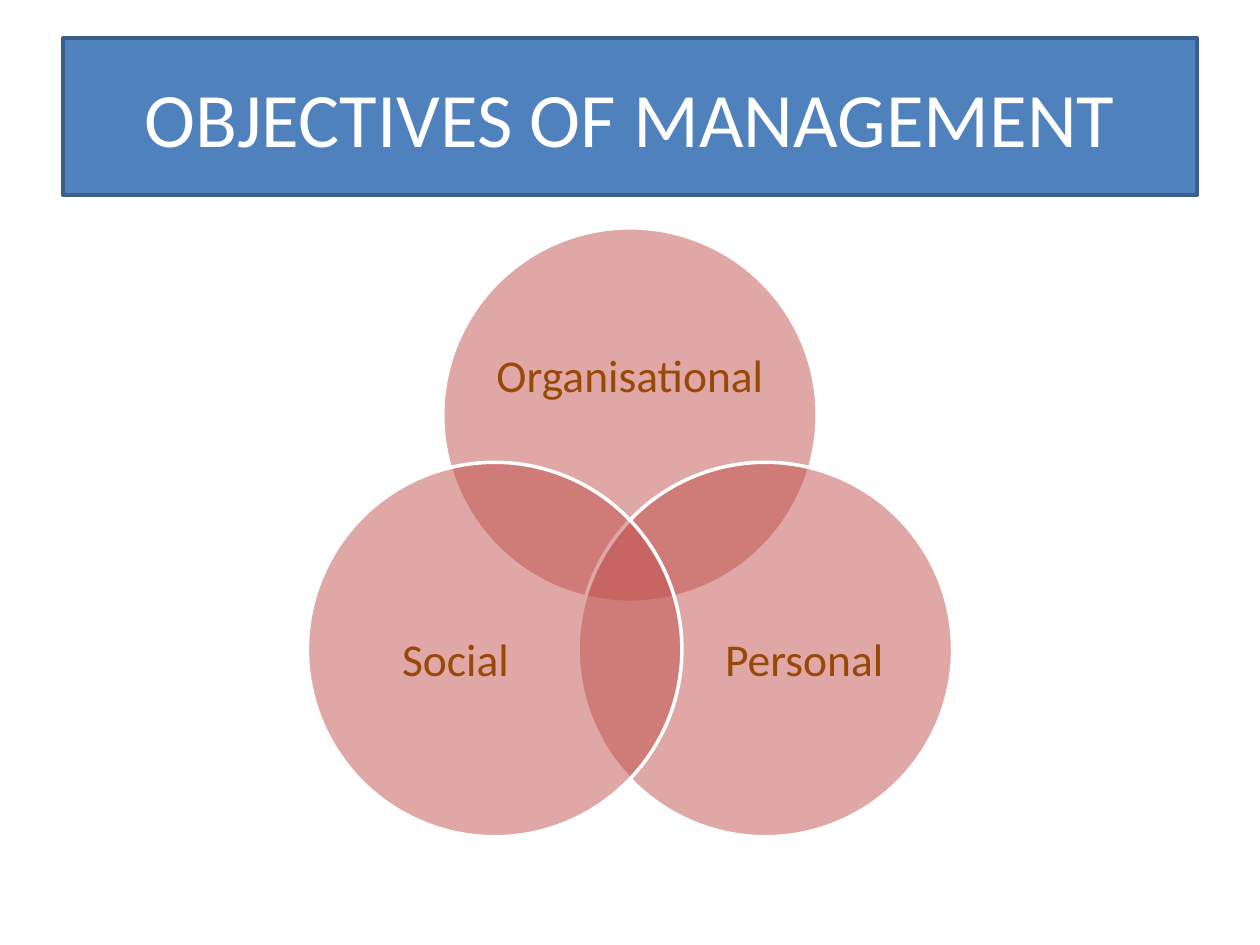
"""Build a slide with a three-circle Venn diagram of management objectives."""
import math
from dataclasses import dataclass

import pptx
import pptx.dml.color
import pptx.enum.shapes
import pptx.enum.text
import pptx.oxml
import pptx.oxml.ns
import pptx.util

Pt = pptx.util.Pt
DIAMETER = 214
CENTER_X, CENTER_Y, SPREAD = 360, 326.5, 89.3


@dataclass
class Circle:
    label: str
    angle: float
    dx: float
    dy: float
    width: float
    height: float


CIRCLES = [
    Circle("Organisational", -90, 0, -21.4, 157, 96.5),
    Circle("Personal", 30, 22.3, 7.2, 128, 117.4),
    Circle("Social", 150, -22.3, 7.2, 128, 117.4),
]


def rgb(color: str) -> pptx.dml.color.RGBColor:
    return pptx.dml.color.RGBColor.from_string(color)


def paint(sp, fill: str, line: str) -> None:
    sp.fill.solid()
    sp.fill.fore_color.rgb = rgb(fill)
    sp.line.color.rgb = rgb(line)
    sp.line.width = Pt(2)


def write(tf, text: str, size: float, color: str):
    tf.word_wrap = True
    tf.auto_size = pptx.enum.text.MSO_AUTO_SIZE.NONE
    tf.vertical_anchor = pptx.enum.text.MSO_ANCHOR.MIDDLE
    p = tf.paragraphs[0]
    p.alignment = pptx.enum.text.PP_ALIGN.CENTER
    r = p.add_run()
    r.text = text
    r.font.size = Pt(size)
    r.font.name = "Calibri"
    r.font.color.rgb = rgb(color)
    return p


def centered(x: float, y: float, w: float, h: float) -> tuple:
    return Pt(x - w / 2), Pt(y - h / 2), Pt(w), Pt(h)


def set_alpha(sp, percent: int) -> None:
    color = sp.fill._xPr.find(".//" + pptx.oxml.ns.qn("a:srgbClr"))
    color.append(pptx.oxml.parse_xml(
        f'<a:alpha {pptx.oxml.ns.nsdecls("a")} val="{percent * 1000}"/>'))


def add_circle(shapes, circle: Circle) -> None:
    angle = math.radians(circle.angle)
    x = CENTER_X + SPREAD * math.cos(angle)
    y = CENTER_Y + SPREAD * math.sin(angle)
    sp = shapes.add_shape(pptx.enum.shapes.MSO_SHAPE.OVAL,
                          *centered(x, y, DIAMETER, DIAMETER))
    sp.shadow.inherit = False
    paint(sp, "C0504D", "FFFFFF")
    set_alpha(sp, 50)
    tf = shapes.add_textbox(*centered(x + circle.dx, y + circle.dy,
                                      circle.width, circle.height)).text_frame
    tf.margin_left = tf.margin_right = tf.margin_top = tf.margin_bottom = 0
    p = write(tf, circle.label, 26, "984807")
    p.line_spacing = 0.9
    p.space_after = Pt(9)


def main() -> None:
    prs = pptx.Presentation()
    prs.slide_width, prs.slide_height = Pt(720), Pt(540)
    s = prs.slides.add_slide(prs.slide_layouts[5])
    title = s.shapes.title
    title.left, title.top, title.width, title.height = Pt(36), Pt(21.6), Pt(648), Pt(90)
    paint(title, "4F81BD", "3A5F8C")
    write(title.text_frame, "OBJECTIVES OF MANAGEMENT", 44, "FFFFFF")
    venn = s.shapes.add_group_shape()
    for circle in CIRCLES:
        add_circle(venn.shapes, circle)
    prs.save("out.pptx")


if __name__ == "__main__":
    main()
